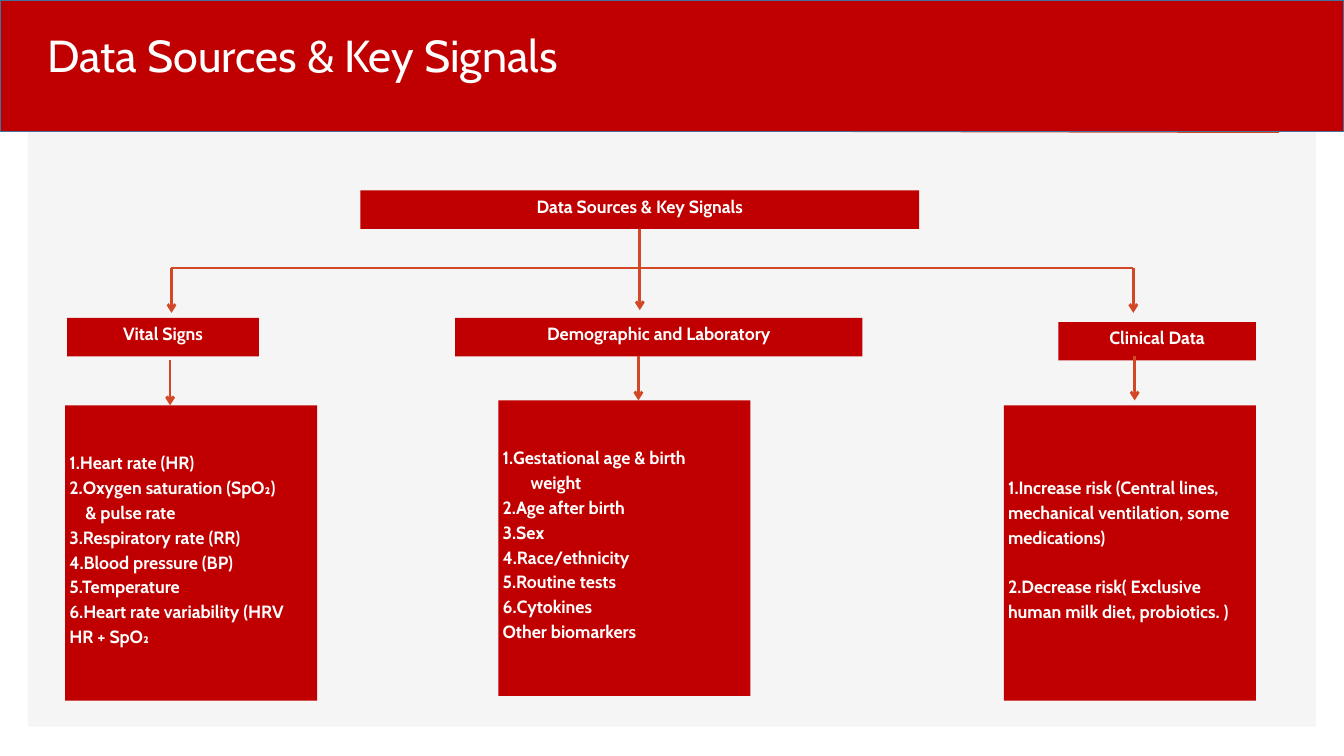
import lxml.etree
import pptx
import pptx.dml.color
import pptx.enum.shapes
import pptx.enum.text
import pptx.oxml.ns
import pptx.util

RGBColor = pptx.dml.color.RGBColor
RED = RGBColor(0xC0, 0x00, 0x00)
ORANGE = RGBColor(0xD2, 0x47, 0x26)
BLUE = RGBColor(0x41, 0x71, 0x9C)
PALE = RGBColor(0xF5, 0xF5, 0xF5)
WHITE = RGBColor(0xFF, 0xFF, 0xFF)
ALIGN = pptx.enum.text.PP_ALIGN
ANCHOR = pptx.enum.text.MSO_ANCHOR
EMU_PER_PX = 9525

TRUNK_X, BUS_Y = 914, 383
LABEL_H, DETAIL_W, DETAIL_H, ARROW_H = 55, 360, 422, 64


def px(n):
    """Turn px into EMU."""
    return pptx.util.Emu(n * EMU_PER_PX)


def write(p, text, size=19, bold=True, align=ALIGN.LEFT, leading=26.6, hang=0, before=0):
    """Write text into a paragraph, where a line feed breaks the line."""
    p.alignment = align
    p.line_spacing = pptx.util.Pt(leading)
    p.space_before = pptx.util.Pt(before)
    if hang:
        pPr = p._p.get_or_add_pPr()
        pPr.set("marL", str(px(hang)))
        pPr.set("indent", str(-px(hang)))
    for i, line in enumerate(text.split("\n")):
        if i:
            p.add_line_break()
        r = p.add_run()
        r.text = line
        r.font.name = "Cabin"
        r.font.size = pptx.util.Pt(size)
        r.font.bold = bold
        r.font.color.rgb = WHITE


class Deck:
    """Holds the style and the current slide."""

    def __init__(self, prs):
        """Add a blank slide to the presentation."""
        self.shapes = prs.slides.add_slide(prs.slide_layouts[6]).shapes

    def rect(self, x, y, w, h, fill=RED, border=None):
        """Draw a plain rectangle."""
        sp = self.shapes.add_shape(
            pptx.enum.shapes.MSO_SHAPE.RECTANGLE, px(x), px(y), px(w), px(h))
        sp.shadow.inherit = False
        sp.fill.solid()
        sp.fill.fore_color.rgb = fill
        if border is None:
            sp.line.fill.background()
        else:
            sp.line.color.rgb = border
            sp.line.width = pptx.util.Pt(1.5)
        return sp

    def box(self, x, y, w, h, paragraphs):
        """Draw a red box with (text, format) paragraphs."""
        sp = self.rect(x, y, w, h)
        tf = sp.text_frame
        tf.word_wrap = True
        tf.vertical_anchor = ANCHOR.MIDDLE
        tf.margin_left = tf.margin_right = px(6)
        tf.margin_top, tf.margin_bottom = 0, px(15)
        for i, (text, style) in enumerate(paragraphs):
            write(tf.add_paragraph() if i else tf.paragraphs[0], text, **style)
        return sp

    def label(self, x, y, w, text):
        """Draw a one-line heading box."""
        return self.box(x, y, w, LABEL_H, [(text, {"align": ALIGN.CENTER})])

    def title(self, x, y, w, h, text):
        """Add the slide title."""
        tf = self.shapes.add_textbox(px(x), px(y), px(w), px(h)).text_frame
        tf.word_wrap = True
        tf.margin_left = tf.margin_right = tf.margin_top = tf.margin_bottom = 0
        write(tf.paragraphs[0], text, size=48, bold=False, leading=57.6)

    def line(self, x1, y1, x2, y2, width=3, arrow=False):
        """Draw a straight line, with an arrowhead at its end if asked."""
        cxn = self.shapes.add_connector(
            pptx.enum.shapes.MSO_CONNECTOR.STRAIGHT, px(x1), px(y1), px(x2), px(y2))
        cxn.line.color.rgb = ORANGE
        cxn.line.width = pptx.util.Pt(width)
        if arrow:
            ln = cxn.line._get_or_add_ln()
            lxml.etree.SubElement(ln, pptx.oxml.ns.qn("a:tailEnd"), type="arrow")
        lxml.etree.SubElement(cxn._element.spPr, pptx.oxml.ns.qn("a:effectLst"))
        return cxn


COLUMNS = [
    ("Vital Signs", (96, 454, 274), (93, 579), (243, 515), [
        ("1.Heart rate (HR)", {}),
        ("2.Oxygen saturation (SpO₂)\n& pulse rate", {"hang": 23}),
        ("3.Respiratory rate (RR)", {}),
        ("4.Blood pressure (BP)", {}),
        ("5.Temperature", {}),
        ("6.Heart rate variability (HRV", {}),
        ("HR + SpO₂", {}),
    ]),
    ("Demographic and Laboratory", (650, 454, 582), (712, 572), (912, 508), [
        ("1.Gestational age & birth\nweight", {"hang": 40}),
        ("2.Age after birth", {}),
        ("3.Sex", {}),
        ("4.Race/ethnicity", {}),
        ("5.Routine tests", {}),
        ("6.Cytokines", {}),
        ("Other biomarkers", {}),
    ]),
    ("Clinical Data", (1512, 460, 282), (1434, 579), (1621, 508), [
        ("1.Increase risk (Central lines, mechanical ventilation, some medications)", {}),
        ("2.Decrease risk( Exclusive human milk diet, probiotics. )", {"before": 26.6}),
    ]),
]


def main():
    """Build the slide and save it."""
    prs = pptx.Presentation()
    prs.slide_width, prs.slide_height = px(1920), px(1080)
    s = Deck(prs)

    s.rect(40, 41, 1840, 997, fill=PALE)
    s.line(93, 185, 1827, 189, width=1.5)
    s.rect(0, 0, 1920, 188, border=BLUE)
    s.title(68, 39, 892, 94, "Data Sources & Key Signals")

    root = s.label(515, 272, 798, "Data Sources & Key Signals")
    trunk = s.line(TRUNK_X, 327, TRUNK_X, BUS_Y)
    trunk.begin_connect(root, 2)
    s.line(245, BUS_Y, 1619, BUS_Y)
    for x, y in ((245, BUS_Y), (TRUNK_X, BUS_Y - 4), (1619, BUS_Y)):
        s.line(x, y, x, y + ARROW_H, arrow=True)

    for heading, label_at, detail_at, (x, y), items in COLUMNS:
        s.label(*label_at, heading)
        s.box(*detail_at, DETAIL_W, DETAIL_H, items)
        s.line(x, y, x, y + ARROW_H, arrow=True)

    prs.save("out.pptx")


if __name__ == "__main__":
    main()
